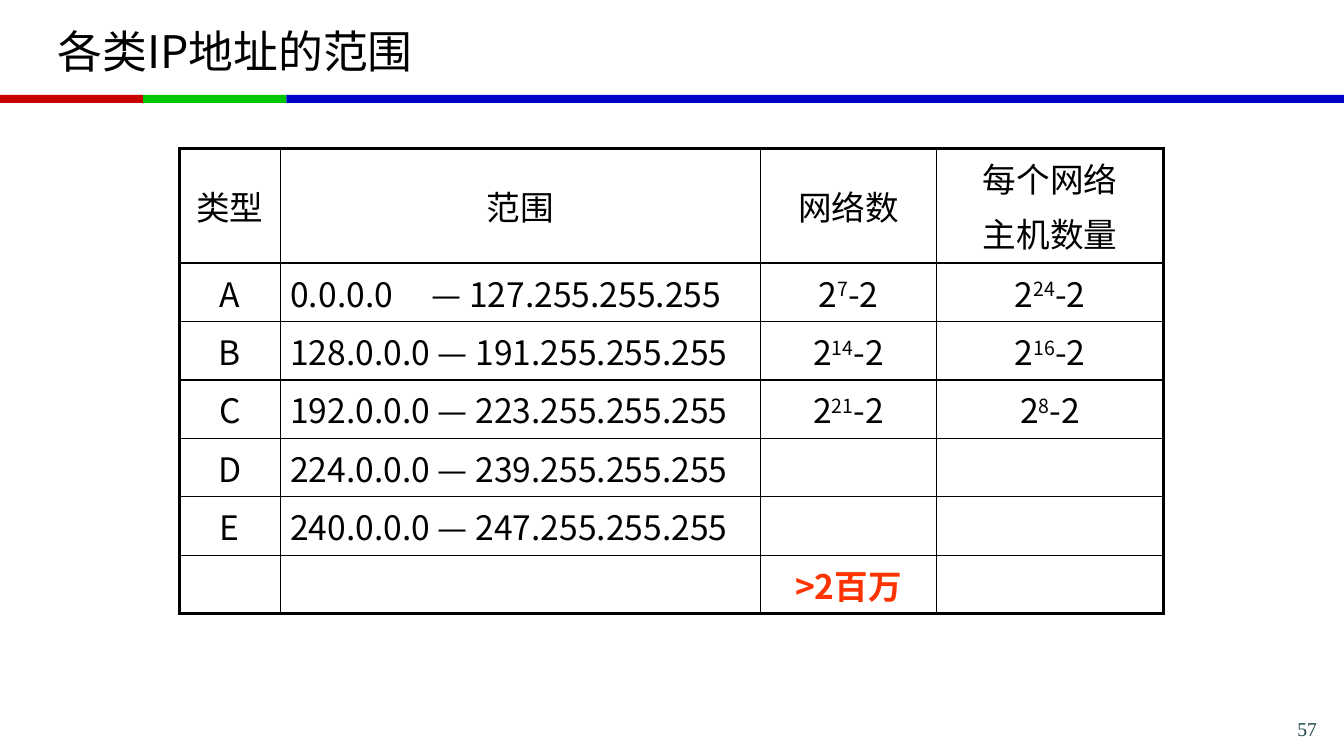
from lxml import etree
from pptx import Presentation
from pptx.dml.color import RGBColor
from pptx.enum.shapes import MSO_SHAPE
from pptx.enum.text import MSO_ANCHOR, PP_ALIGN
from pptx.oxml.ns import qn
from pptx.util import Inches, Pt

RECT = MSO_SHAPE.RECTANGLE
MID, TOP = MSO_ANCHOR.MIDDLE, MSO_ANCHOR.TOP
LEFT, MID_X, RIGHT = PP_ALIGN.LEFT, PP_ALIGN.CENTER, PP_ALIGN.RIGHT
SANS, SERIF = "Noto Sans CJK SC", "Times New Roman"
HUES = {"black": "000000", "red": "C80000", "green": "00C800",
        "blue": "0000C8", "hot": "FF3300", "slate": "1E4649"}

COLS = [1, 4.76, 1.75, 2.25]
ROWS = [1.14] + [0.58] * 6
HEADS = ["类型", "范围", "网络数", "每个网络\n主机数量"]
NETS = [
    ("A", "0.0.0.0\t— 127.255.255.255", "7", "24"),
    ("B", "128.0.0.0 — 191.255.255.255", "14", "16"),
    ("C", "192.0.0.0 — 223.255.255.255", "21", "8"),
    ("D", "224.0.0.0 — 239.255.255.255", "", ""),
    ("E", "240.0.0.0 — 247.255.255.255", "", ""),
]
TOTAL = ">2百万"


def add_run(para, text, size, face=SANS, hue="black", bold=False, raised=False):
    run = para.add_run()
    run.text = text
    font = run.font
    font.size, font.name, font.bold = Pt(size), face, bold
    font.color.rgb = RGBColor.from_string(HUES[hue])
    props = font._element
    etree.SubElement(props, qn("a:ea")).set("typeface", face)
    if raised:
        props.set("baseline", "30000")


def add_text(slide, box, text, size, face, hue, align, anchor):
    frame = slide.shapes.add_textbox(*map(Inches, box)).text_frame
    frame.word_wrap = True
    frame.vertical_anchor = anchor
    para = frame.paragraphs[0]
    para.alignment = align
    add_run(para, text, size, face, hue)


def add_bars(slide, box):
    left, top, width, height = box
    step = 1.42
    parts = [("red", step), ("green", step), ("blue", width - 2 * step)]
    for hue, span in parts:
        bar = slide.shapes.add_shape(
            RECT, *map(Inches, (left, top, span, height)))
        bar.shadow.inherit = False
        bar.fill.solid()
        bar.fill.fore_color.rgb = RGBColor.from_string(HUES[hue])
        bar.line.fill.background()
        left += span


def add_edges(cell, row, col):
    props = cell._tc.get_or_add_tcPr()
    outer = {"L": col == 0, "R": col == len(COLS) - 1,
             "T": row == 0, "B": row == len(ROWS) - 1}
    for spot, (side, thick) in enumerate(outer.items()):
        line = etree.Element(qn("a:ln" + side), w=str(Pt(2.25 if thick else 1)))
        fill = etree.SubElement(line, qn("a:solidFill"))
        etree.SubElement(fill, qn("a:srgbClr")).set("val", HUES["black"])
        props.insert(spot, line)


def add_stop(para, place):
    stops = etree.SubElement(para._p.get_or_add_pPr(), qn("a:tabLst"))
    etree.SubElement(stops, qn("a:tab"), pos=str(Inches(place)), algn="l")


def fill_cell(cell, text, align=MID_X, **look):
    frame = cell.text_frame
    for num, line in enumerate(text.split("\n")):
        para = frame.add_paragraph() if num else frame.paragraphs[0]
        para.alignment = align
        if num:
            para.space_before = Pt(4.8)
        if "\t" in line:
            add_stop(para, 1.4)
        add_run(para, line, 24, **look)


def fill_power(cell, power):
    fill_cell(cell, "2")
    para = cell.text_frame.paragraphs[0]
    add_run(para, power, 24, raised=True)
    add_run(para, "-2", 24)


def add_grid(slide, box):
    table = slide.shapes.add_table(
        len(ROWS), len(COLS), *map(Inches, box)).table
    for col, width in zip(table.columns, COLS):
        col.width = Inches(width)
    for row, height in zip(table.rows, ROWS):
        row.height = Inches(height)
    for row in range(len(ROWS)):
        for col in range(len(COLS)):
            cell = table.cell(row, col)
            cell.vertical_anchor = MID
            cell.fill.background()
            add_edges(cell, row, col)
    for col, head in enumerate(HEADS):
        fill_cell(table.cell(0, col), head)
    for row, (kind, span, *powers) in enumerate(NETS, 1):
        fill_cell(table.cell(row, 0), kind)
        fill_cell(table.cell(row, 1), span, LEFT)
        for col, power in enumerate(powers, 2):
            if power:
                fill_power(table.cell(row, col), power)
    fill_cell(table.cell(len(ROWS) - 1, 2), TOTAL, hue="hot", bold=True)


def main():
    deck = Presentation()
    deck.slide_width, deck.slide_height = Inches(13.33), Inches(7.5)
    slide = deck.slides.add_slide(deck.slide_layouts[6])
    add_bars(slide, (0, 0.94, 13.33, 0.08))
    add_text(slide, (10.05, 7.06, 3.11, 0.23), "57", 14, SERIF, "slate",
             RIGHT, TOP)
    add_text(slide, (0.47, 0.08, 12.39, 0.84), "各类IP地址的范围", 32, SANS,
             "black", LEFT, MID)
    add_grid(slide, (1.78, 1.47, sum(COLS), sum(ROWS)))
    deck.save("out.pptx")


if __name__ == "__main__":
    main()
